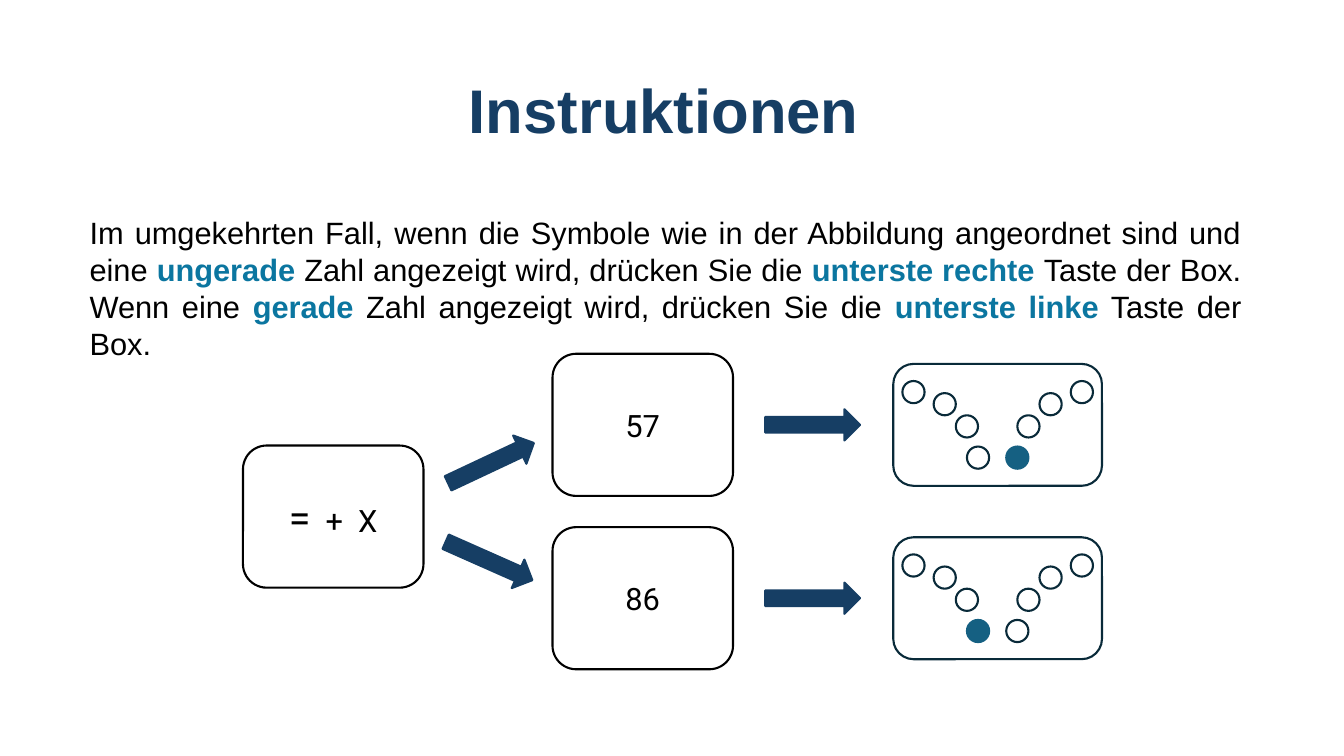
from pptx import Presentation
from pptx.dml.color import RGBColor
from pptx.enum.shapes import MSO_SHAPE as Shape
from pptx.enum.text import MSO_ANCHOR as Anchor, MSO_AUTO_SIZE as Fit, PP_ALIGN as Align
from pptx.util import Inches, Pt

NAVY = RGBColor(0x16, 0x3E, 0x64)
BLUE = RGBColor(0x0B, 0x76, 0xA0)
TEAL = RGBColor(0x15, 0x60, 0x82)
DARK = RGBColor(0x09, 0x2A, 0x39)
BLACK = RGBColor(0, 0, 0)

CARD_W, CARD_H = 1.79, 1.41
PAD_W, PAD_H = 2.07, 1.21
ARROW_W, ARROW_H = 0.94, 0.31
KEY = 0.22
# Left half of the keys, from the outer one to the lowest
KEYS = [(0.09, 0.17), (0.40, 0.29), (0.62, 0.51), (0.73, 0.82)]

INTRO = [
    ("Im umgekehrten Fall, wenn die Symbole wie in der Abbildung angeordnet sind und eine ", False),
    ("ungerade", True),
    (" Zahl angezeigt wird, drücken Sie die ", False),
    ("unterste rechte ", True),
    ("Taste der Box. Wenn eine ", False),
    ("gerade", True),
    (" Zahl angezeigt wird, drücken Sie die ", False),
    ("unterste linke", True),
    (" Taste der Box.", False),
]


def style(run, size, color, font="Arial", bold=False):
    run.font.name = font
    run.font.size = Pt(size)
    run.font.bold = bold
    run.font.color.rgb = color


def draw(slide, kind, box, line, fill=None):
    shape = slide.shapes.add_shape(kind, *map(Inches, box))
    shape.shadow.inherit = False
    shape.line.color.rgb = line
    shape.line.width = Pt(1.5)
    if fill is None:
        shape.fill.background()
    else:
        shape.fill.solid()
        shape.fill.fore_color.rgb = fill
    return shape


def add_title(slide, box):
    title = slide.shapes.title
    title.left, title.top, title.width, title.height = map(Inches, box)
    frame = title.text_frame
    frame.text = "Instruktionen "
    frame.vertical_anchor = Anchor.MIDDLE
    para = frame.paragraphs[0]
    para.alignment = Align.CENTER
    para.line_spacing = 0.9
    style(para.runs[0], 44, NAVY, bold=True)


def add_intro(slide, box):
    frame = slide.shapes.add_textbox(*map(Inches, box)).text_frame
    frame.word_wrap = True
    frame.auto_size = Fit.SHAPE_TO_FIT_TEXT
    para = frame.paragraphs[0]
    para.alignment = Align.JUSTIFY
    for text, key in INTRO:
        run = para.add_run()
        run.text = text
        style(run, 22, BLUE if key else BLACK, bold=key)


def add_card(slide, left, top, parts, gap=0):
    """Screen with centred text; gap widens the letter spacing."""
    card = draw(slide, Shape.ROUNDED_RECTANGLE, (left, top, CARD_W, CARD_H), BLACK)
    frame = card.text_frame
    frame.vertical_anchor = Anchor.MIDDLE
    para = frame.paragraphs[0]
    para.alignment = Align.CENTER
    for text, size in parts:
        run = para.add_run()
        run.text = text
        style(run, size, BLACK, "Roboto")
        if gap:
            run._r.get_or_add_rPr().set("spc", str(gap))


def add_arrow(slide, left, top, turn=0):
    arrow = draw(slide, Shape.RIGHT_ARROW, (left, top, ARROW_W, ARROW_H), NAVY, NAVY)
    arrow.rotation = turn


def add_pad(slide, left, top, side):
    """Response box with two mirrored rows of keys; the lowest on one side is filled."""
    draw(slide, Shape.ROUNDED_RECTANGLE, (left, top, PAD_W, PAD_H), DARK)
    for half in ("left", "right"):
        for x, y in KEYS:
            hit = half == side and (x, y) == KEYS[-1]
            dx = x if half == "left" else PAD_W - x - KEY
            draw(slide, Shape.OVAL, (left + dx, top + y, KEY, KEY),
                 TEAL if hit else DARK, TEAL if hit else None)


def add_row(slide, left, top, number, side):
    """Number screen, arrow and response box."""
    add_card(slide, left, top, [(number, 22)])
    add_arrow(slide, left + 2.11, top + (CARD_H - ARROW_H) / 2)
    add_pad(slide, left + 3.38, top + (CARD_H - PAD_H) / 2, side)


def main():
    deck = Presentation()
    deck.slide_width, deck.slide_height = Inches(13.33), Inches(7.5)
    slide = deck.slides.add_slide(deck.slide_layouts[5])

    add_title(slide, (0.92, 0.4, 11.5, 1.45))
    add_intro(slide, (0.79, 2.07, 11.62, 1.58))

    # Symbol screen and its two branches
    add_card(slide, 2.41, 4.42, [("=", 28), (" + X", 22)], gap=270)
    add_arrow(slide, 4.4, 4.44, 334.8)
    add_arrow(slide, 4.38, 5.41, 23.9)
    add_row(slide, 5.48, 3.51, "57", "right")
    add_row(slide, 5.48, 5.23, "86", "left")

    deck.save("out.pptx")


if __name__ == "__main__":
    main()
